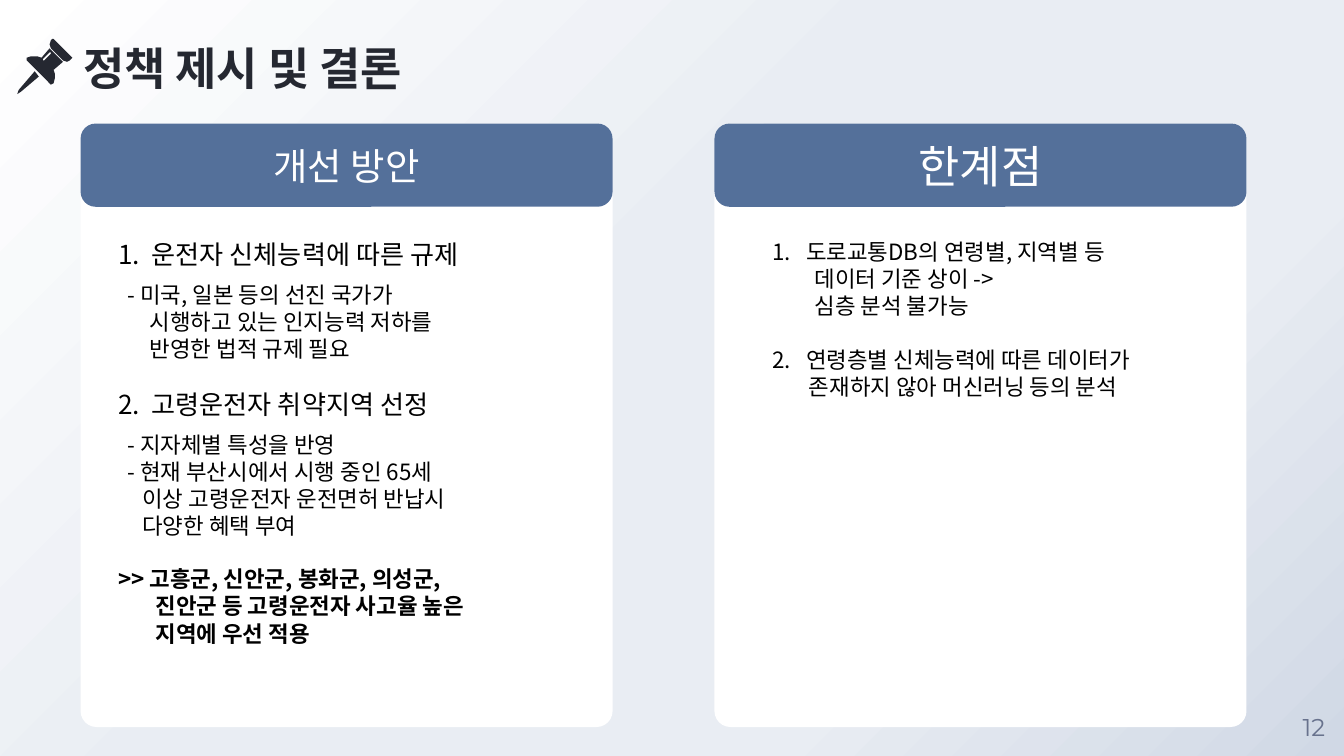
import pptx
import pptx.dml.color
import pptx.enum.shapes
import pptx.enum.text
import pptx.oxml
import pptx.oxml.ns
import pptx.util

Pt = pptx.util.Pt
RGBColor = pptx.dml.color.RGBColor
Align = pptx.enum.text.PP_ALIGN
Anchor = pptx.enum.text.MSO_ANCHOR
ROUNDED = pptx.enum.shapes.MSO_SHAPE.ROUNDED_RECTANGLE

WHITE = RGBColor(0xFF, 0xFF, 0xFF)
BLACK = RGBColor(0x00, 0x00, 0x00)
BLUE = RGBColor(0x54, 0x70, 0x9A)
INK = RGBColor(0x25, 0x28, 0x31)
GREY = RGBColor(0x68, 0x72, 0x8D)
MIST = RGBColor(0xE9, 0xED, 0xF3)
STEEL = RGBColor(0xD0, 0xD8, 0xE5)
KOREAN = "Noto Sans CJK KR"

CARD_TOP, CARD_WIDTH, CARD_HEIGHT = 66.2, 285, 323.3
HEADER_HEIGHT = 44.6

# Each entry: text and its paragraph format
MEASURES = [
    ("운전자 신체능력에 따른 규제", dict(size=14, number=1)),
    ("- 미국, 일본 등의 선진 국가가", dict(indent=5, before=6)),
    ("시행하고 있는 인지능력 저하를", dict(indent=17)),
    ("반영한 법적 규제 필요", dict(indent=17)),
    ("고령운전자 취약지역 선정", dict(size=14, number=2, before=14)),
    ("- 지자체별 특성을 반영", dict(indent=5, before=6)),
    ("- 현재 부산시에서 시행 중인 65세", dict(indent=5)),
    ("이상 고령운전자 운전면허 반납시", dict(indent=13)),
    ("다양한 혜택 부여", dict(indent=13)),
    (">> 고흥군, 신안군, 봉화군, 의성군,", dict(bold=True, before=14)),
    ("진안군 등 고령운전자 사고율 높은", dict(bold=True, indent=20)),
    ("지역에 우선 적용", dict(bold=True, indent=20)),
]
LIMITS = [
    ("도로교통DB의 연령별, 지역별 등", dict(number=1)),
    ("데이터 기준 상이 ->", dict(indent=22.5)),
    ("심층 분석 불가능", dict(indent=22.5)),
    ("연령층별 신체능력에 따른 데이터가", dict(number=2, before=14.5)),
    ("존재하지 않아 머신러닝 등의 분석", dict(indent=19.5)),
]

# Pushpin outlines in hundredths of an inch; each part is a list of contours
PIN_PARTS = [
    [[(13, 24), (1, 38), (0, 41), (3, 39), (16, 28)]],
    [[(26, 0), (25, 1), (24, 4), (25, 7), (34, 16), (37, 17), (39, 16),
      (40, 15), (41, 14), (40, 13), (28, 1), (27, 0)]],
    [[(24, 7), (18, 14), (15, 13), (10, 13), (7, 14), (7, 16), (25, 34),
      (27, 33), (28, 29), (28, 26), (27, 23), (34, 17)],
     [(24, 10), (25, 10), (25, 11), (20, 16), (19, 16), (19, 15)]],
]


def write(para, text, size=12, color=BLACK, font=KOREAN, bold=False,
          align=Align.LEFT, before=0, indent=0, number=None, fixed=True):
    """Fill one paragraph with formatted text."""
    properties = para._p.get_or_add_pPr()
    if number:
        properties.set("marL", str(Pt(18)))
        properties.set("indent", str(-Pt(18)))
        bullet = pptx.oxml.parse_xml(
            f'<a:buAutoNum {pptx.oxml.ns.nsdecls("a")} '
            f'type="arabicPeriod" startAt="{number}"/>')
        properties.append(bullet)
    else:
        properties.set("marL", str(Pt(indent)))
        properties.set("indent", "0")
    para.alignment = align
    para.space_before = Pt(before)
    if fixed:
        para.line_spacing = Pt(round(size * 1.205, 1))
    span = para.add_run()
    span.text = text
    span.font.size = Pt(size)
    span.font.bold = bold
    span.font.name = font
    span.font.color.rgb = color
    if font == KOREAN:
        east_asian = pptx.oxml.parse_xml(
            f'<a:ea {pptx.oxml.ns.nsdecls("a")} typeface="{font}"/>')
        span.font._element.find(pptx.oxml.ns.qn("a:latin")).addnext(east_asian)


def add_text_box(page, left, top, width, height, entries, inset=True,
                 anchor=Anchor.TOP):
    box = page.shapes.add_textbox(Pt(left), Pt(top), Pt(width), Pt(height))
    frame = box.text_frame
    frame.word_wrap = True
    frame.vertical_anchor = anchor
    if not inset:
        frame.margin_left = frame.margin_right = 0
        frame.margin_top = frame.margin_bottom = 0
    for index, (text, form) in enumerate(entries):
        para = frame.add_paragraph() if index else frame.paragraphs[0]
        write(para, text, **form)


def paint(shape, color):
    shape.shadow.inherit = False
    shape.fill.solid()
    shape.fill.fore_color.rgb = color
    shape.line.fill.background()


def add_panel(page, left, top, width, height, color, rounding):
    panel = page.shapes.add_shape(ROUNDED, Pt(left), Pt(top), Pt(width), Pt(height))
    panel.adjustments[0] = rounding
    paint(panel, color)
    return panel


def add_card(page, left, top, heading, heading_size, entries, text_left, text_height):
    """White card with a blue heading bar and a list below it."""
    add_panel(page, left, top, CARD_WIDTH, CARD_HEIGHT, WHITE, 0.03)
    header = add_panel(page, left, top, CARD_WIDTH, HEADER_HEIGHT, BLUE, 0.18)
    header.text_frame.vertical_anchor = Anchor.MIDDLE
    write(header.text_frame.paragraphs[0], heading, size=heading_size,
          color=WHITE, font="Arial", align=Align.CENTER, fixed=False)
    add_text_box(page, left + text_left, top + 57.7, 208, text_height, entries)


def add_pin(page, left, top):
    for contours in PIN_PARTS:
        first, *others = contours
        outline = page.shapes.build_freeform(*first[0], scale=Pt(0.72))
        outline.add_line_segments(first[1:], close=True)
        for contour in others:
            outline.move_to(*contour[0])
            outline.add_line_segments(contour[1:], close=True)
        paint(outline.convert_to_shape(Pt(left), Pt(top)), INK)


def add_title(page, left, top, width, height):
    add_pin(page, left - 35.3, top - 0.6)
    add_text_box(page, left, top, width, height,
                 [("정책 제시 및 결론", dict(size=24, color=INK, bold=True))],
                 inset=False)


def paint_background(page):
    """Gradient that spreads from the top left corner."""
    fill = page.background.fill
    fill.gradient()
    stops = [(0, WHITE), (44, MIST), (72, MIST), (100, STEEL)]
    stop_xml = "".join(
        f'<a:gs pos="{place * 1000}"><a:srgbClr val="{color}"/></a:gs>'
        for place, color in stops)
    gradient = pptx.oxml.parse_xml(
        f'<a:gradFill {pptx.oxml.ns.nsdecls("a")} rotWithShape="1">'
        f'<a:gsLst>{stop_xml}</a:gsLst><a:path path="circle">'
        '<a:fillToRect r="100000" b="100000"/></a:path></a:gradFill>')
    former = page._element.find(".//" + pptx.oxml.ns.qn("a:gradFill"))
    former.getparent().replace(former, gradient)


def main():
    deck = pptx.Presentation()
    deck.slide_width, deck.slide_height = Pt(720), Pt(405)
    page = deck.slides.add_slide(deck.slide_layouts[6])
    paint_background(page)

    # Page number
    add_text_box(page, 687.6, 373, 32.4, 32.4,
                 [("12", dict(size=13, color=GREY, font="Montserrat",
                              align=Align.CENTER, fixed=False))],
                 inset=False, anchor=Anchor.MIDDLE)

    # Two cards, then the title
    add_card(page, 43.2, CARD_TOP, "개선 방안", 20, MEASURES, 13, 231)
    add_card(page, 382.8, CARD_TOP, "한계점", 24, LIMITS, 24, 94.3)
    add_title(page, 44.6, 21.5, 513.4, 46)

    deck.save("out.pptx")


if __name__ == "__main__":
    main()
